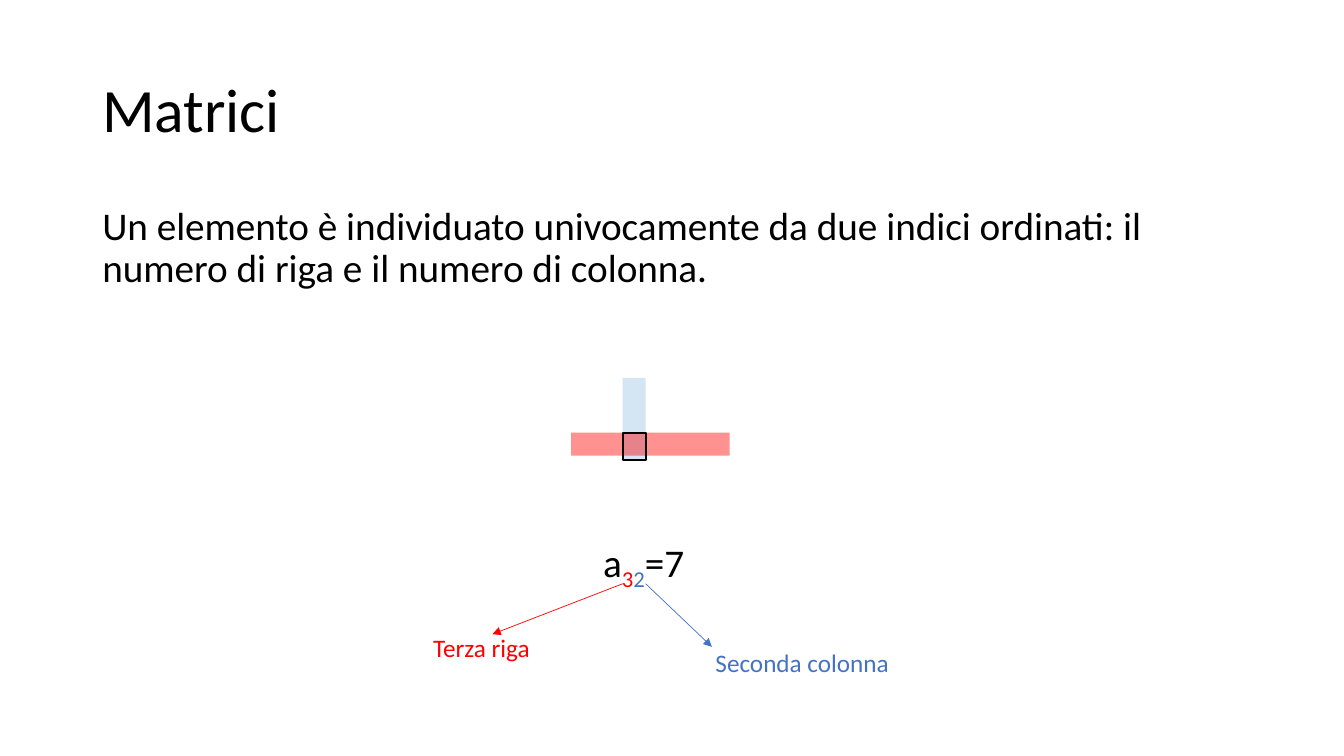
from pptx import Presentation
from pptx.dml.color import RGBColor as Rgb
from pptx.enum.shapes import MSO_CONNECTOR as Link, MSO_SHAPE as Form
from pptx.enum.text import MSO_ANCHOR as Anchor
from pptx.oxml.ns import qn
from pptx.util import Pt
from lxml.etree import SubElement as Sub

PX = 9525
HUES = {"black": "000000", "red": "FF0000", "blue": "4472C4", "pale": "9DC3E6"}


def tint(hue):
    return Rgb.from_string(HUES[hue])


def write(box, runs, size, gap=0.9, anchor=Anchor.TOP):
    frame = slide.shapes.add_textbox(*[n * PX for n in box]).text_frame
    frame.word_wrap = True
    frame.vertical_anchor = anchor
    para = frame.paragraphs[0]
    para.line_spacing = gap
    para.font.name = "Calibri"
    para.font.size = Pt(size)
    for text, hue, base in runs:
        run = para.add_run()
        run.text = text
        run.font.color.rgb = tint(hue)
        if base:
            run.font._element.set("baseline", str(base * 1000))


deck = Presentation()
deck.slide_width = 1280 * PX
deck.slide_height = 720 * PX
slide = deck.slides.add_slide(deck.slide_layouts[6])

write((88, 38, 1104, 139), [("Matrici", "black", 0)], 44, anchor=Anchor.MIDDLE)
rule = "Un elemento è individuato univocamente da due indici ordinati: il numero di riga e il numero di colonna."
write((88, 192, 1104, 95), [(rule, "black", 0)], 28)

bands = [
    ((593, 360, 22, 78), "pale"),
    ((544, 412, 151, 22), "red"),
    ((593, 412, 22, 26), None),
]
for box, hue in bands:
    band = slide.shapes.add_shape(Form.RECTANGLE, *[n * PX for n in box])
    band.shadow.inherit = False
    if hue:
        band.fill.solid()
        band.fill.fore_color.rgb = tint(hue)
        shade = band._element.spPr.find(qn("a:solidFill"))[0]
        Sub(shade, qn("a:alpha"), val="43000")
        band.line.fill.background()
    else:
        band.fill.background()
        band.line.color.rgb = tint("black")
        band.line.width = Pt(1.5)

entry = [("a", "black", 0), ("3", "red", -25), ("2", "blue", -25), ("=7", "black", 0)]
write((565, 509, 450, 95), entry, 28)

notes = [
    ("Terza riga", "red", (593, 556, 469, 604), (403, 597)),
    ("Seconda colonna", "blue", (615, 556, 678, 616), (672, 612)),
]
for text, hue, ends, spot in notes:
    arrow = slide.shapes.add_connector(Link.STRAIGHT, *[n * PX for n in ends])
    arrow.line.color.rgb = tint(hue)
    arrow.line.width = Pt(0.5)
    Sub(arrow.line._get_or_add_ln(), qn("a:tailEnd"), type="triangle")
    Sub(arrow._element.spPr, qn("a:effectLst"))
    write((*spot, 213, 38), [(text, hue, 0)], 18, gap=1.0)

deck.save("out.pptx")
